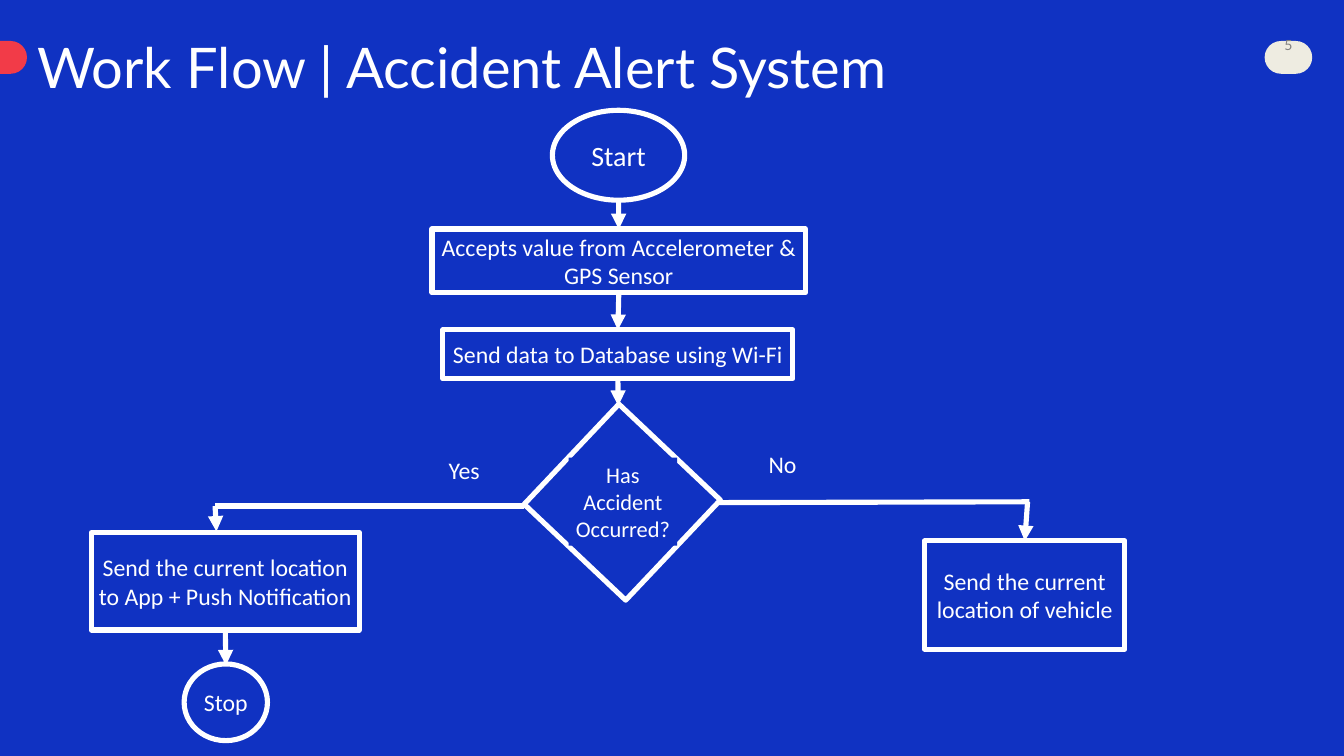
from lxml.etree import SubElement
from pptx import Presentation
from pptx.dml.color import RGBColor
from pptx.enum.shapes import MSO_CONNECTOR, MSO_SHAPE
from pptx.enum.text import MSO_ANCHOR, MSO_AUTO_SIZE, PP_ALIGN
from pptx.oxml.ns import qn
from pptx.util import Cm, Pt

COLORS = {"blue": "1032C2", "white": "FFFFFF", "red": "F23B48",
          "cream": "EEECE1", "gray": "808080"}
LINE_WIDTH = Pt(5.5)

# All places are left, top, width, height in centimetres.
TABS = [("cream", (47.8, 1.55, 1.8, 1.24)), ("red", (-1.7, 1.55, 2.72, 1.24))]
TITLE = ("Work Flow | Accident Alert System", (1.4, 0.71, 45.44, 1.85))
PAGE_NUMBER = ("5", (47.8, 1.37, 1.8, 1.63))

# name: (preset, place, text, text size, rotation)
STEPS = {
    "start": (MSO_SHAPE.OVAL, (20.88, 4.17, 5, 3.4), "Start", 30, 0),
    "sense": (MSO_SHAPE.RECTANGLE, (16.33, 8.66, 14.12, 2.41),
              "Accepts value from Accelerometer & GPS Sensor", 25.5, 0),
    "send": (MSO_SHAPE.RECTANGLE, (16.74, 12.47, 13.23, 1.85),
             "Send data to Database using Wi-Fi", 25.5, 0),
    "decision": (MSO_SHAPE.RECTANGLE, (20.88, 16.38, 5.28, 5.21), "", 24, 43.4),
    "vehicle": (MSO_SHAPE.RECTANGLE, (34.95, 20.45, 7.57, 4.09),
                "Send the current location of vehicle", 25.5, 0),
    "notify": (MSO_SHAPE.RECTANGLE, (3.45, 20.14, 10.13, 3.68),
               "Send the current location to App + Push Notification", 25.5, 0),
    "stop": (MSO_SHAPE.OVAL, (6.96, 25.1, 3.15, 2.9), "Stop", 25.5, 0),
}

# text, place, size, alignment, wrap
LABELS = [
    ("Yes", (16.71, 17.12, 1.7, 1.35), 25.5, PP_ALIGN.LEFT, False),
    ("No", (28.8, 16.87, 1.57, 1.35), 25.5, PP_ALIGN.LEFT, False),
    ("Has Accident Occurred?", (21.49, 17.3, 4.11, 3.33), 24, PP_ALIGN.CENTER, True),
]

# Each end is a point (x, y) or a (step name, side) to join.
TOP, BOTTOM = 0, 2
LINES = [
    ((8.13, 19.13), (19.81, 19.13), False),
    ((27.18, 19), (38.91, 18.97), False),
    ((23.38, 7.57), ("sense", TOP), True),
    (("sense", BOTTOM), ("send", TOP), True),
    (("send", BOTTOM), (23.37, 15.34), True),
    ((38.84, 18.97), ("vehicle", TOP), True),
    ((8.13, 19.13), (8.18, 20.09), True),
    (("notify", BOTTOM), (8.54, 25.15), True),
]


def color(name):
    return RGBColor.from_string(COLORS[name])


def lengths(values):
    return [Cm(value) for value in values]


def write(shape, text, size, font="Calibri", font_color="white", align=PP_ALIGN.CENTER):
    paragraph = shape.text_frame.paragraphs[0]
    paragraph.alignment = align
    run = paragraph.add_run()
    run.text = text
    run.font.size = Pt(size)
    run.font.name = font
    run.font.color.rgb = color(font_color)
    return paragraph


def add_filled(slide, preset, place, fill, outlined=False):
    shape = slide.shapes.add_shape(preset, *lengths(place))
    shape.shadow.inherit = False
    shape.fill.solid()
    shape.fill.fore_color.rgb = color(fill)
    if outlined:
        shape.line.color.rgb = color("white")
        shape.line.width = LINE_WIDTH
    else:
        shape.line.fill.background()
    return shape


def add_plain_text(slide, place):
    """Add a text box without insets."""
    box = slide.shapes.add_textbox(*lengths(place))
    frame = box.text_frame
    frame.word_wrap = True
    frame.margin_left = frame.margin_right = frame.margin_top = frame.margin_bottom = 0
    return box


def add_step(slide, preset, place, text, size, rotation):
    shape = add_filled(slide, preset, place, "blue", outlined=True)
    shape.rotation = rotation
    if text:
        shape.text_frame.word_wrap = True
        shape.text_frame.vertical_anchor = MSO_ANCHOR.MIDDLE
        write(shape, text, size)
    return shape


def add_label(slide, text, place, size, align, wrap):
    box = slide.shapes.add_textbox(*lengths(place))
    box.fill.solid()
    box.fill.fore_color.rgb = color("blue")
    box.text_frame.word_wrap = wrap
    box.text_frame.auto_size = MSO_AUTO_SIZE.SHAPE_TO_FIT_TEXT
    write(box, text, size, align=align)


def add_line(slide, steps, start, end, arrow):
    points = [(0, 0) if point[0] in steps else point for point in (start, end)]
    line = slide.shapes.add_connector(
        MSO_CONNECTOR.STRAIGHT, *lengths(points[0] + points[1]))
    for point, connect in ((start, line.begin_connect), (end, line.end_connect)):
        if point[0] in steps:
            connect(steps[point[0]], point[1])
    line.line.color.rgb = color("white")
    line.line.width = LINE_WIDTH
    properties = line._element.spPr
    if arrow:
        SubElement(properties.find(qn("a:ln")), qn("a:tailEnd"), type="triangle")
    SubElement(properties, qn("a:effectLst"))


def main():
    presentation = Presentation()
    presentation.slide_width, presentation.slide_height = Cm(50.8), Cm(28.58)
    slide = presentation.slides.add_slide(presentation.slide_layouts[6])
    slide.background.fill.solid()
    slide.background.fill.fore_color.rgb = color("blue")

    for fill, place in TABS:
        tab = add_filled(slide, MSO_SHAPE.ROUNDED_RECTANGLE, place, fill)
        tab.adjustments[0] = 0.5

    text, place = PAGE_NUMBER
    write(add_plain_text(slide, place), text, 15, "Lato", "gray")
    text, place = TITLE
    title = write(add_plain_text(slide, place), text, 60, "Lato", align=PP_ALIGN.LEFT)
    title.line_spacing = 1.2
    title.space_before = Pt(12)

    steps = {name: add_step(slide, *step) for name, step in STEPS.items()}
    for label in LABELS:
        add_label(slide, *label)
    for line in LINES:
        add_line(slide, steps, *line)

    presentation.save("out.pptx")


if __name__ == "__main__":
    main()
